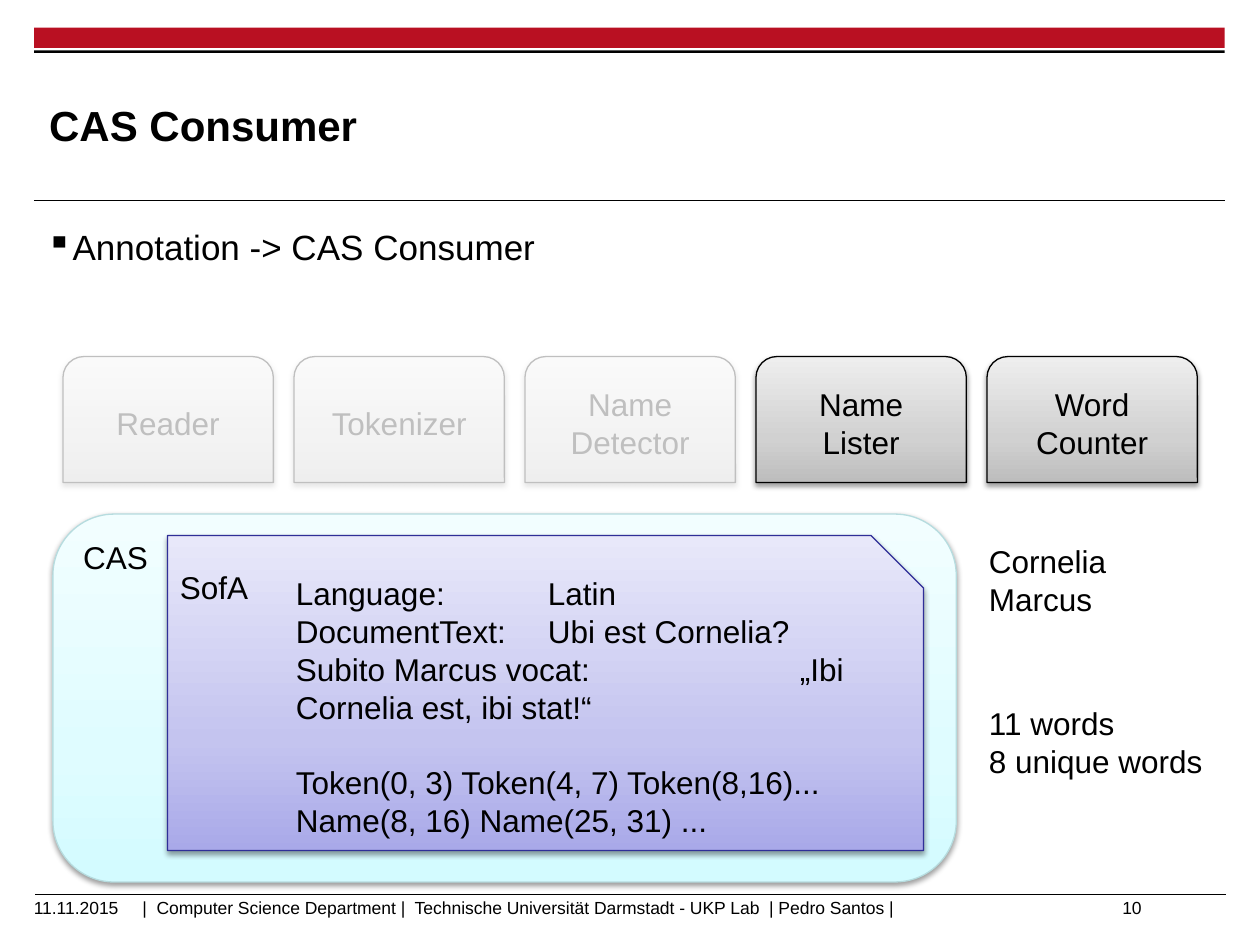
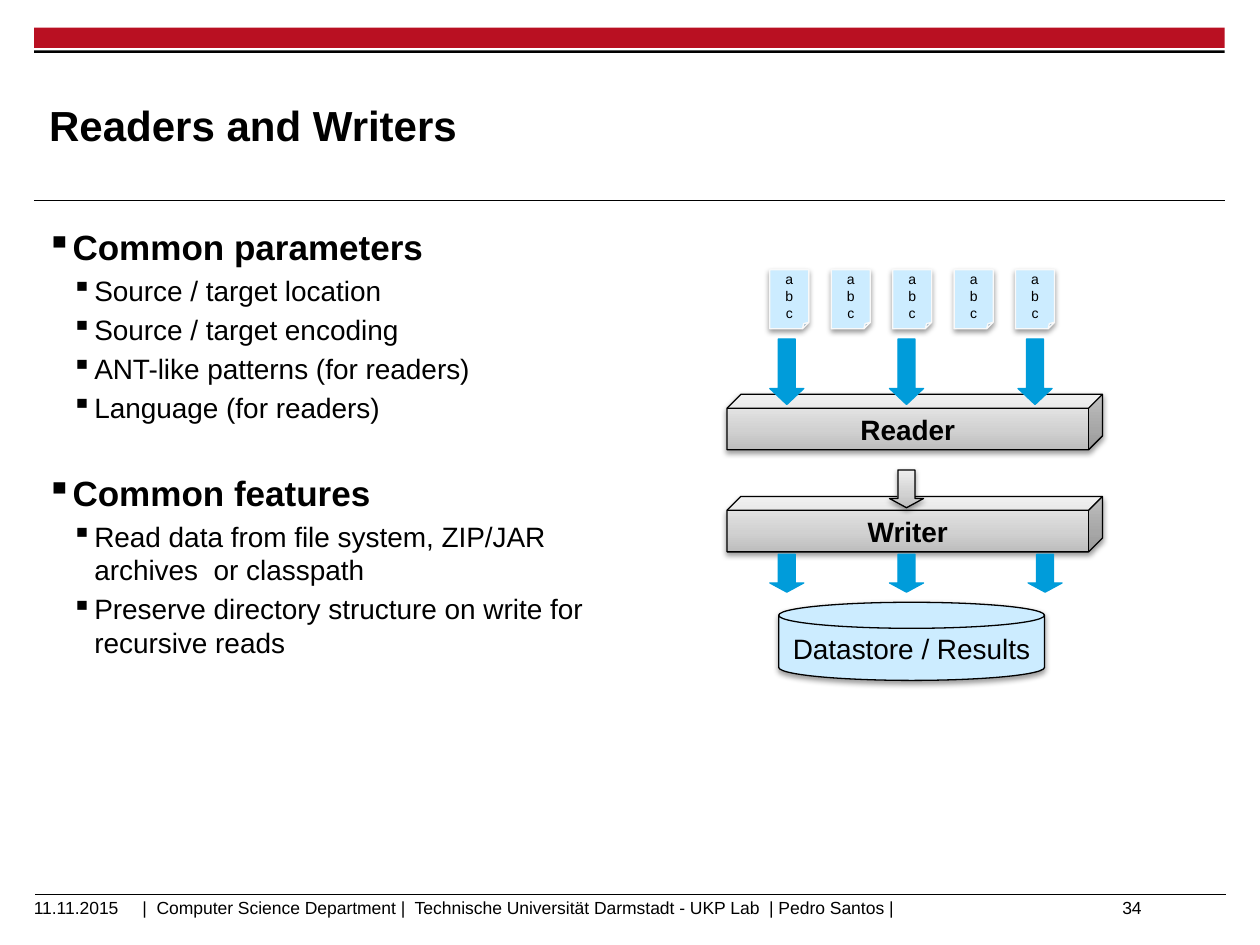
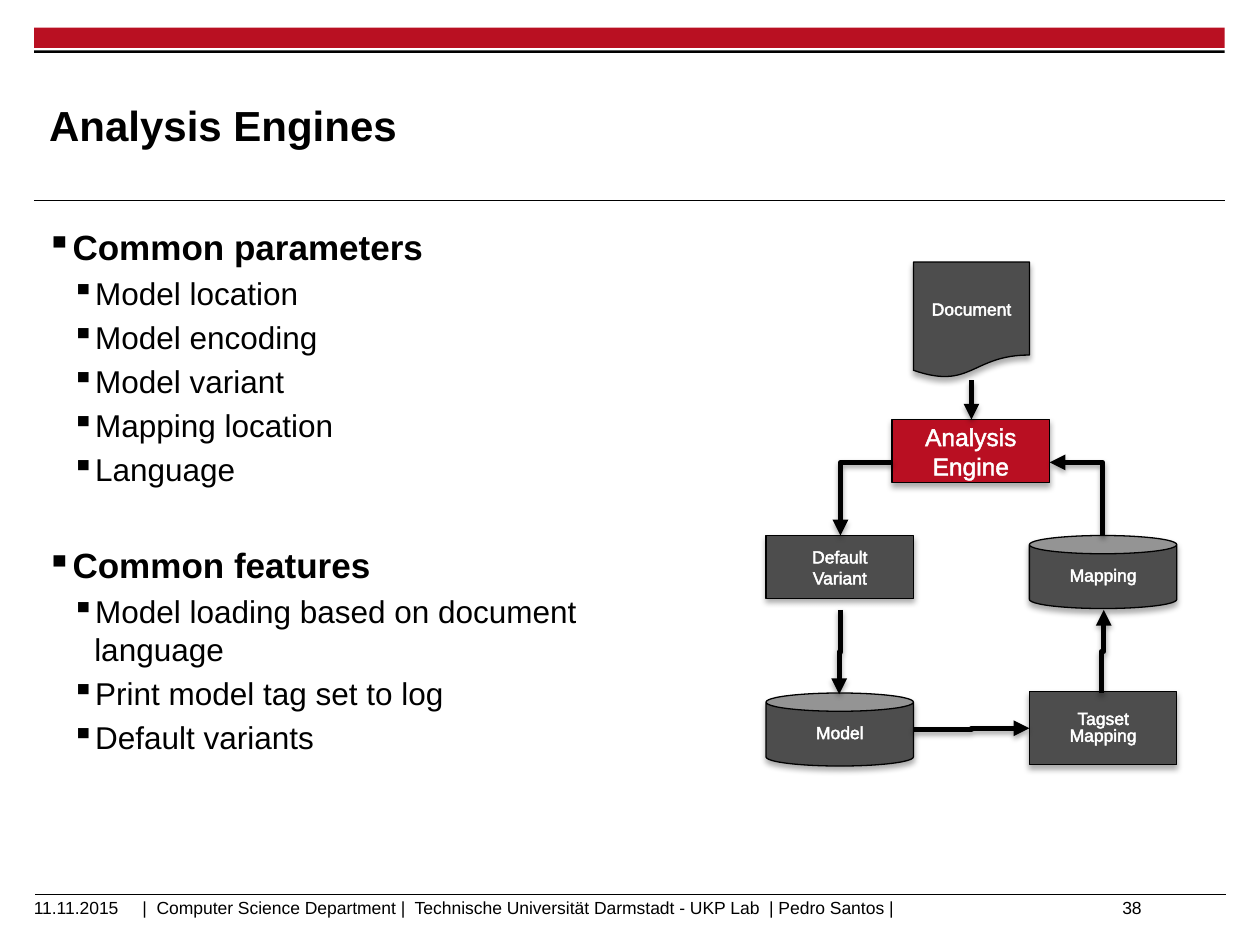
from pptx import Presentation
from pptx.dml.color import RGBColor
from pptx.enum.shapes import MSO_CONNECTOR, MSO_SHAPE
from pptx.enum.text import MSO_ANCHOR, MSO_AUTO_SIZE, PP_ALIGN
from pptx.oxml import parse_xml
from pptx.oxml.ns import nsdecls, qn
from pptx.util import Inches, Pt

FONT = "Arial"
BLACK, WHITE, RED, ENGINE_RED = "000000", "FFFFFF", "B91022", "B90F22"
DARK, BLUE, PALE_BLUE, PAPER_EDGE = "4D4D4D", "009CDA", "CCECFF", "F9F9F9"
GREY = ("BDBDBD", "D1D1D1", "EEEEEE")
CYAN = ("D3FBFF", "DFFCFF", "F2FEFF")
VIOLET = ("A9A9E9", "C4C4EF", "E8E8FA")

# Shadows: opacity in percent, blur and distance in points
SOFT = (38, 3.1, 1.6)
DEEP = (32, 3.5, 2.2)
LINE_SHADOW = (35, 3.1, 1.8)

DATE = "11.11.2015"
FOOTER = ("|  Computer Science Department |  Technische Universität Darmstadt"
          " - UKP Lab  | Pedro Santos |")


def rgb(value):
    return RGBColor.from_string(value)


def element(xml):
    """Build one drawing element from its short form."""
    return parse_xml(f"<a:holder {nsdecls('a')}>{xml}</a:holder>")[0]


def set_all(target, values):
    for name, value in values.items():
        setattr(target, name, value)


class Slides:
    def __init__(self):
        self.deck = Presentation()
        self.deck.slide_width, self.deck.slide_height = Inches(10), Inches(7.5)
        self.page = None

    # Page frame
    def new_page(self, title, number):
        self.page = self.deck.slides.add_slide(self.deck.slide_layouts[5])
        self.shape(MSO_SHAPE.RECTANGLE, (0.27, 0.22, 9.45, 0.16), RED)
        self.shape(MSO_SHAPE.RECTANGLE, (0.27, 0.4, 9.45, 0.02), BLACK)
        self.line((0.27, 1.59), (9.72, 1.59))
        self.line((0.28, 7.1), (9.73, 7.1))
        box = self.page.shapes.title
        self.place(box, (0.39, 0.53, 7.52, 0.92))
        self.set_text(box.text_frame, [title], size=24, bold=True,
                      anchor=MSO_ANCHOR.MIDDLE, inset=0)
        self.text((1.13, 7.12, 7.54, 0.25), [FOOTER], size=10, inset=0)
        self.text((0.17, 7, 1.17, 0.4), [DATE], size=10, anchor=MSO_ANCHOR.MIDDLE)
        self.text((6.83, 7, 2.33, 0.4), [str(number)], size=10,
                  anchor=MSO_ANCHOR.MIDDLE, align=PP_ALIGN.RIGHT)

    def place(self, box, at):
        set_all(box, dict(zip(("left", "top", "width", "height"), map(Inches, at))))

    # Text
    def style(self, para, size, bold=False, color=BLACK, outline=None):
        for span in para.runs:
            set_all(span.font, {"name": FONT, "size": Pt(size), "bold": bold})
            span.font.color.rgb = rgb(color)
            if outline:
                span.font._element.insert(0, element(
                    f'<a:ln w="{Pt(1.45)}"><a:solidFill><a:srgbClr val="{outline}"/>'
                    '</a:solidFill></a:ln>'))

    def set_text(self, frame, lines, size=18, anchor=MSO_ANCHOR.TOP, align=PP_ALIGN.LEFT,
                 inset=None, wrap=True, spacing=None, **look):
        set_all(frame, {"word_wrap": wrap, "auto_size": MSO_AUTO_SIZE.NONE,
                        "vertical_anchor": anchor})
        if inset is not None:
            set_all(frame, {f"margin_{side}": Inches(inset)
                            for side in ("left", "top", "right", "bottom")})
        for index, text in enumerate(lines):
            para = frame.add_paragraph() if index else frame.paragraphs[0]
            set_all(para, {"text": text, "alignment": align, "line_spacing": spacing})
            self.style(para, size, **look)
        return frame

    def text(self, at, lines, **look):
        box = self.page.shapes.add_textbox(*map(Inches, at))
        return self.set_text(box.text_frame, lines, **look)

    def bullets(self, sections, size=18, bold=True, section_gap=0):
        """Each section is a heading with its list of points."""
        frame = self.text((0.27, 1.74, 4.64, 5.24), [])
        rows = [row for heading, points in sections
                for row in [(0, heading)] + [(1, point) for point in points]]
        for index, (level, text) in enumerate(rows):
            para = frame.add_paragraph() if index else frame.paragraphs[0]
            row_size = size if level else 20
            gap = 0.2 * row_size if level else section_gap
            set_all(para, {"text": text, "level": level,
                           "space_before": Pt(gap if index else 0)})
            margin, hang = (0.38, 0.18) if level else (0.2, 0.2)
            properties = para._p.get_or_add_pPr()
            properties.set("marL", str(Inches(margin)))
            properties.set("indent", str(-Inches(hang)))
            properties.append(element('<a:buChar char="▪"/>'))
            self.style(para, row_size, bold=bold and not level)

    # Shapes and lines
    def shape(self, kind, at, fill, line=None, shadow=None, adjust=(), alpha=None,
              lines=(), **look):
        box = self.page.shapes.add_shape(kind, *map(Inches, at))
        for index, value in enumerate(adjust):
            box.adjustments[index] = value
        if isinstance(fill, tuple):
            self.gradient(box, fill)
        else:
            box.fill.solid()
            box.fill.fore_color.rgb = rgb(fill)
        if alpha:
            color = box._element.spPr.find(".//" + qn("a:srgbClr"))
            color.append(element(f'<a:alpha val="{alpha * 1000}"/>'))
        if line:
            box.line.color.rgb = rgb(line)
            box.line.width = Pt(0.75)
        else:
            box.line.fill.background()
        box.shadow.inherit = False
        if shadow:
            self.shade(box, shadow)
        if lines:
            self.set_text(box.text_frame, lines, **look)

    def gradient(self, box, colors):
        box.fill.gradient()
        stops = "".join(f'<a:gs pos="{pos}"><a:srgbClr val="{color}"/></a:gs>'
                        for pos, color in zip((0, 35000, 100000), colors))
        properties = box._element.spPr
        properties.replace(properties.find(qn("a:gradFill")), element(
            f'<a:gradFill rotWithShape="1"><a:gsLst>{stops}</a:gsLst>'
            '<a:lin ang="16200000" scaled="0"/></a:gradFill>'))

    def shade(self, box, shadow):
        opacity, blur, distance = shadow
        box._element.spPr.find(qn("a:effectLst")).append(element(
            f'<a:outerShdw blurRad="{Pt(blur)}" dist="{Pt(distance)}" dir="5400000" '
            f'rotWithShape="0"><a:srgbClr val="{BLACK}">'
            f'<a:alpha val="{opacity * 1000}"/></a:srgbClr></a:outerShdw>'))

    def line(self, start, end, kind=MSO_CONNECTOR.STRAIGHT, width=0.6):
        link = self.page.shapes.add_connector(kind, *map(Inches, start + end))
        link.line.color.rgb = rgb(BLACK)
        link.line.width = Pt(width)
        link._element.spPr.append(element("<a:effectLst/>"))
        return link

    def arrow(self, start, end, kind=MSO_CONNECTOR.ELBOW, vertical=False, corner=False):
        """An elbow that leaves vertically is a turned horizontal one."""
        turn = 0
        if vertical:
            (x1, y1), (x2, y2) = start, end
            sign = 1 if y2 > y1 else -1
            mid_x, mid_y = (x1 + x2) / 2, (y1 + y2) / 2
            half_w, half_h = sign * (y2 - y1) / 2, -sign * (x2 - x1) / 2
            start, end = (mid_x - half_w, mid_y - half_h), (mid_x + half_w, mid_y + half_h)
            turn = 90 if sign > 0 else 270
        link = self.line(start, end, kind, 3)
        properties = link._element.spPr
        if turn:
            properties.find(qn("a:xfrm")).set("rot", str(turn * 60000))
        if corner:
            properties.find(qn("a:prstGeom")).set("prst", "bentConnector2")
        properties.find(qn("a:ln")).append(element('<a:tailEnd type="triangle"/>'))
        self.shade(link, LINE_SHADOW)


CENTRED = {"anchor": MSO_ANCHOR.MIDDLE, "align": PP_ALIGN.CENTER}


def cas_consumer(slides):
    slides.new_page("CAS Consumer", 10)
    slides.bullets([("Annotation -> CAS Consumer", [])], bold=False)

    # CAS with its subject of analysis
    slides.shape(MSO_SHAPE.ROUNDED_RECTANGLE, (0.42, 4.08, 7.17, 2.92), CYAN, "B6DCDF",
                 SOFT, lines=["CAS"])
    slides.shape(MSO_SHAPE.SNIP_1_RECTANGLE, (1.33, 4.25, 6, 2.5), VIOLET, "2F2F98",
                 SOFT, lines=["SofA"])
    frame = slides.text((2.25, 4.51, 5.08, 2.22), [
        "Language:\tLatin",
        "DocumentText:\tUbi est Cornelia?\vSubito Marcus vocat:\t„Ibi Cornelia est, ibi stat!“",
        "Token(0, 3) Token(4, 7) Token(8,16)...",
        "Name(8, 16) Name(25, 31) ..."])
    for para in frame.paragraphs[:2]:
        para._p.get_or_add_pPr().append(element(
            f'<a:tabLst><a:tab pos="{Inches(2)}" algn="l"/>'
            f'<a:tab pos="{Inches(4)}" algn="l"/></a:tabLst>'))
    frame.paragraphs[2].space_before = Pt(21.6)

    # Pipeline steps, the finished ones veiled
    steps = (["Reader"], ["Tokenizer"], ["Name", "Detector"], ["Name", "Lister"],
             ["Word", "Counter"])
    for index, step in enumerate(steps):
        slides.shape(MSO_SHAPE.ROUND_2_SAME_RECTANGLE,
                     (0.5 + index * 5.5 / 3, 2.83, 1.67, 1),
                     GREY, BLACK, SOFT, lines=step, **CENTRED)
    slides.shape(MSO_SHAPE.RECTANGLE, (0.42, 2.67, 5.5, 1.25), WHITE, alpha=75)

    # Consumer output
    slides.text((7.75, 4.25, 1.58, 0.71), ["Cornelia", "Marcus"])
    slides.text((7.75, 5.54, 1.92, 0.71), ["11 words", "8 unique words"])


def readers_and_writers(slides):
    slides.new_page("Readers and Writers", 34)
    slides.bullets([
        ("Common parameters", ["Source / target location", "Source / target encoding",
                               "ANT-like patterns (for readers)", "Language (for readers)"]),
        ("Common features", ["Read data from file system, ZIP/JAR archives  or classpath",
                             "Preserve directory structure on write for recursive reads"]),
    ], size=16, section_gap=27)

    # Reader and writer bars
    for name, top in (("Writer", 3.94), ("Reader", 3.13)):
        slides.shape(MSO_SHAPE.CUBE, (5.77, top, 2.98, 0.44), GREY, BLACK, SOFT, (0.25,),
                     lines=[name], size=16, bold=True, wrap=False, **CENTRED)

    # Data flow
    flows = ((2.69, 0.52, 0.47, (6.11, 7.06, 8.08)), (4.4, 0.3, 0.27, (6.11, 7.06, 8.16)))
    for top, height, head, lefts in flows:
        for left in lefts:
            slides.shape(MSO_SHAPE.DOWN_ARROW, (left, top, 0.27, height), BLUE, BLUE,
                         adjust=(0.5, head))
    slides.shape(MSO_SHAPE.DOWN_ARROW, (7.06, 3.73, 0.27, 0.3), GREY, BLACK, SOFT,
                 (0.5, 0.27))

    # Source files and data store
    for index in range(5):
        slides.shape(MSO_SHAPE.FOLDED_CORNER, (6.11 + index * 1.95 / 4, 2.14, 0.31, 0.47),
                     PALE_BLUE, PAPER_EDGE, SOFT, lines=["abc"], size=8, **CENTRED)
    slides.shape(MSO_SHAPE.FLOWCHART_MAGNETIC_DISK, (6.18, 4.78, 2.11, 0.62), PALE_BLUE,
                 BLACK, SOFT, lines=["Datastore / Results"], size=16, **CENTRED)


def analysis_engines(slides):
    slides.new_page("Analysis Engines", 38)
    slides.bullets([
        ("Common parameters", ["Model location", "Model encoding", "Model variant",
                               "Mapping location", "Language"]),
        ("Common features", ["Model loading based on document language",
                             "Print model tag set to log", "Default variants"]),
    ], section_gap=32)

    # Flow chart nodes
    nodes = (
        (MSO_SHAPE.FLOWCHART_DOCUMENT, (7.25, 2.08, 0.92, 0.92), DARK, ["Document"], 10, None),
        (MSO_SHAPE.RECTANGLE, (7.08, 3.33, 1.25, 0.5), ENGINE_RED, ["Analysis Engine"], 14, None),
        (MSO_SHAPE.RECTANGLE, (6.08, 4.25, 1.17, 0.5), DARK, ["Default", "Variant"], 10, None),
        (MSO_SHAPE.CAN, (6.08, 5.5, 1.17, 0.58), DARK, ["Model"], 10, 0.8),
        (MSO_SHAPE.RECTANGLE, (8.17, 5.49, 1.17, 0.58), DARK, ["Tagset", "Mapping"], 10, 0.8),
        (MSO_SHAPE.CAN, (8.17, 4.25, 1.17, 0.58), DARK, ["Mapping"], 10, 0.8),
    )
    for kind, at, fill, lines, size, spacing in nodes:
        slides.shape(kind, at, fill, BLACK, DEEP, lines=lines, size=size, spacing=spacing,
                     color=WHITE, outline=WHITE, **CENTRED)

    # Flow from document to engine and round through the mapping
    slides.arrow((7.71, 3.02), (7.71, 3.33), MSO_CONNECTOR.STRAIGHT)
    slides.arrow((7.08, 3.67), (6.67, 4.25), corner=True)
    slides.arrow((6.67, 4.84), (6.66, 5.51), vertical=True)
    slides.arrow((7.25, 5.79), (8.17, 5.78))
    slides.arrow((8.74, 5.5), (8.76, 4.84), vertical=True)
    slides.arrow((8.75, 4.25), (8.33, 3.67), vertical=True, corner=True)


def main():
    slides = Slides()
    cas_consumer(slides)
    readers_and_writers(slides)
    analysis_engines(slides)
    slides.deck.save("out.pptx")


if __name__ == "__main__":
    main()
